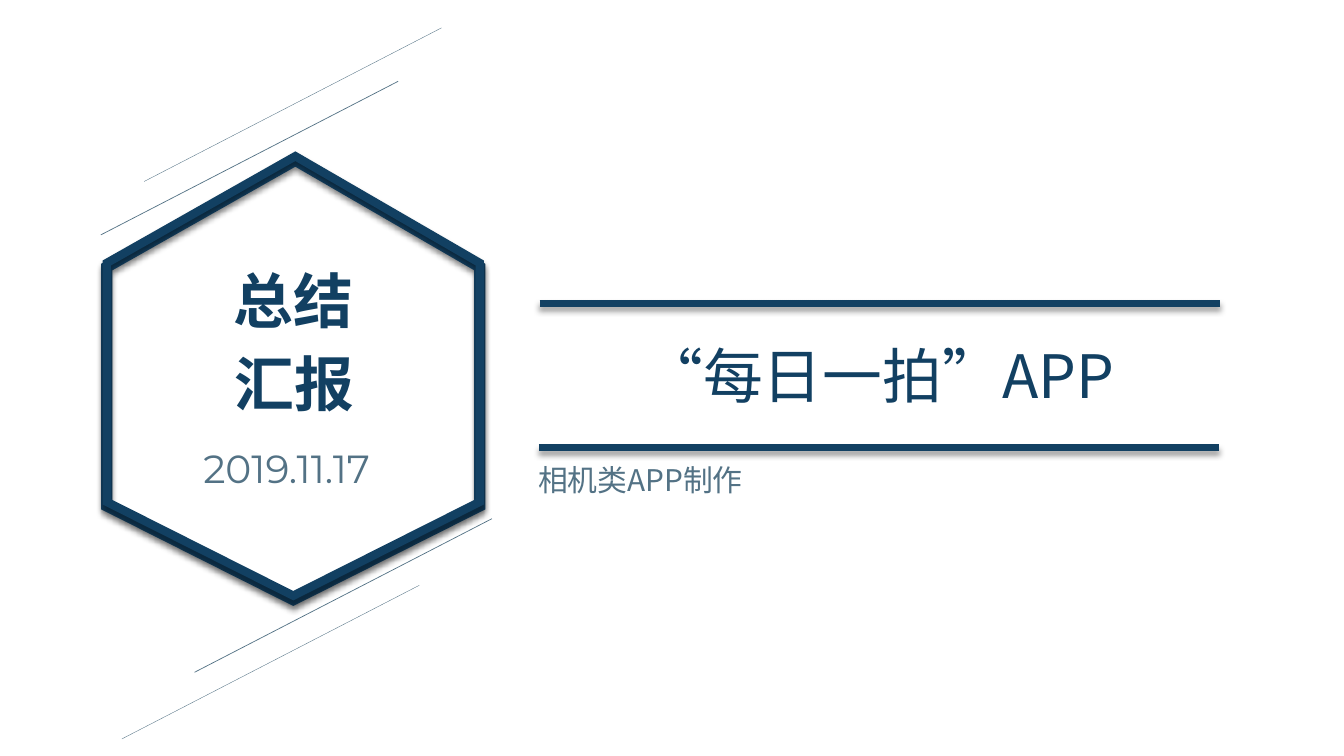
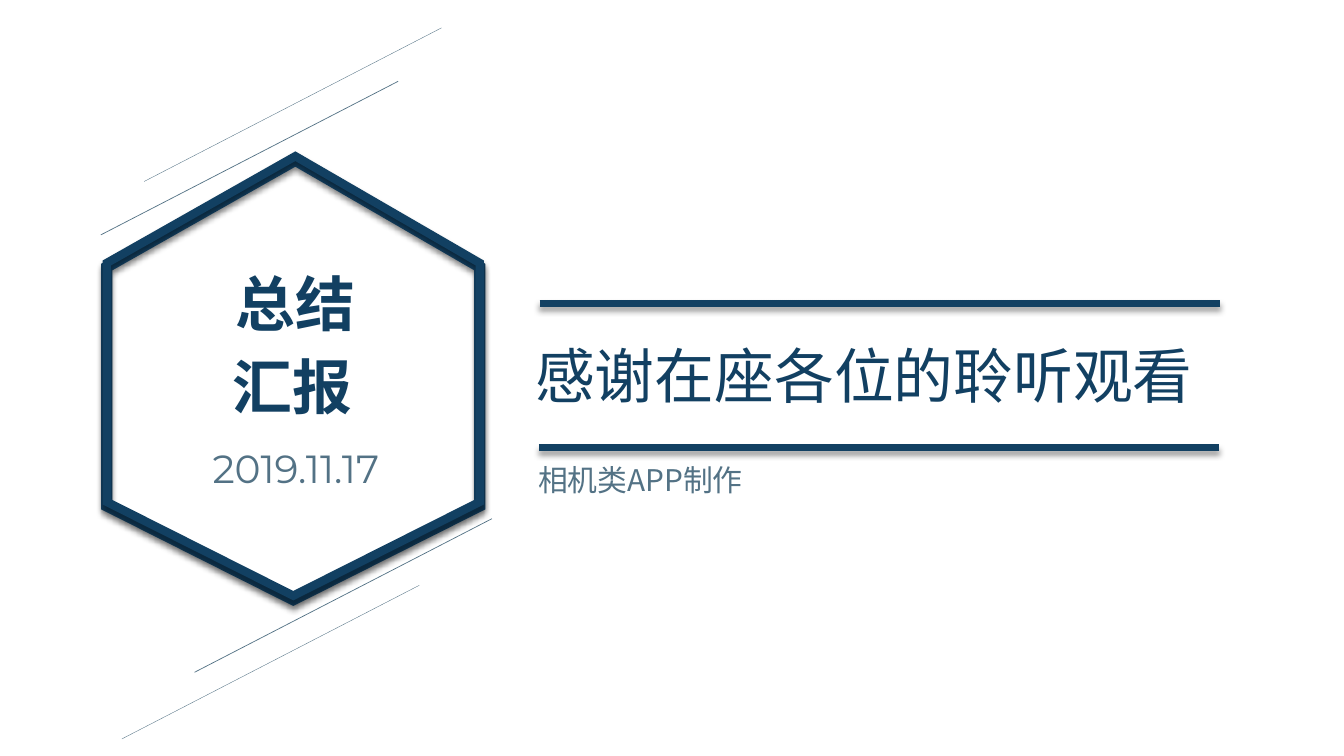
import pptx
import pptx.dml.color
import pptx.enum.lang
import pptx.enum.shapes
import pptx.enum.text
import pptx.oxml
import pptx.oxml.ns
import pptx.util

Pt = pptx.util.Pt
Align = pptx.enum.text.PP_ALIGN
hex_color = pptx.dml.color.RGBColor.from_string

NAVY = "124062"
SLATE = "537285"
CJK_FONT = "Noto Sans CJK SC"
NAMESPACE = pptx.oxml.ns.nsdecls("a")
SHADOW = (
    f'<a:outerShdw {NAMESPACE} blurRad="{Pt(4)}" dist="{Pt(3)}" dir="5400000" '
    'algn="t" rotWithShape="0"><a:srgbClr val="000000">'
    '<a:alpha val="40000"/></a:srgbClr></a:outerShdw>'
)

# Slanted lines: start point and weight; all share one run and rise
SLANTS = [(139, 480.2, 0.5), (87.1, 527.8, 0.25), (72, 167.8, 0.5), (103, 129.6, 0.25)]
SLANT_RUN, SLANT_RISE = 212.4, 109.7

# Hexagon corners, clockwise from the top
HEXAGON = [(211, 114.5), (342.7, 190.8), (342.7, 361.4),
           (209.5, 428.4), (76.3, 361.4), (76.3, 190.8)]

# What differs between the slides; each label is text, left, top, width, alignment
SLIDES = [
    {
        "title": "“每日一拍”APP", "align": Align.CENTER,
        "date": (113, 183.6, Align.CENTER),
        "labels": [("总结", 159.8, 185, Align.LEFT), ("汇报", 159.8, 244.1, Align.CENTER)],
    },
    {
        "title": "感谢在座各位的聆听观看", "align": Align.LEFT,
        "date": (144.7, 193.7, Align.LEFT),
        "labels": [("总结", 161.3, 187.2, Align.LEFT), ("汇报", 159.1, 246.2, Align.LEFT)],
    },
]


def style_line(shape, color, weight, shadow=False):
    """Set the outline and either a soft shadow or none."""
    shape.line.color.rgb = hex_color(color)
    shape.line.width = Pt(weight)
    properties = shape._element.spPr
    effects = pptx.oxml.parse_xml(f"<a:effectLst {NAMESPACE}/>")
    if shadow:
        effects.append(pptx.oxml.parse_xml(SHADOW))
    properties.append(effects)


def write(box, text, left, top, width, height, size=42.7, color=NAVY,
          font=CJK_FONT, bold=False, align=Align.LEFT, wrap=True):
    """Place a text box or placeholder and fill it with one formatted line."""
    box.left, box.top, box.width, box.height = Pt(left), Pt(top), Pt(width), Pt(height)
    frame = box.text_frame
    frame.word_wrap = wrap
    frame.auto_size = pptx.enum.text.MSO_AUTO_SIZE.SHAPE_TO_FIT_TEXT
    frame.vertical_anchor = pptx.enum.text.MSO_ANCHOR.TOP
    para = frame.paragraphs[0]
    para.alignment = align
    span = para.add_run()
    span.text = text
    span.font.size = Pt(size)
    span.font.bold = bold
    span.font.name = font
    span.font.color.rgb = hex_color(color)
    span.font.language_id = pptx.enum.lang.MSO_LANGUAGE_ID.SIMPLIFIED_CHINESE
    span._r.get_or_add_rPr().append(
        pptx.oxml.parse_xml(f'<a:ea {NAMESPACE} typeface="{CJK_FONT}"/>'))


deck = pptx.Presentation()
deck.slide_width, deck.slide_height = Pt(960), Pt(540)
title_only = deck.slide_layouts[5]

for content in SLIDES:
    page = deck.slides.add_slide(title_only)
    shapes = page.shapes

    # Double hexagon frame
    for offset, weight in [(0, 8), (-2.9, 6)]:
        corners = [(Pt(x), Pt(y + offset)) for x, y in HEXAGON]
        builder = shapes.build_freeform(*corners[0])
        builder.add_line_segments(corners[1:], close=True)
        hexagon = builder.convert_to_shape()
        hexagon.fill.background()
        style_line(hexagon, NAVY, weight, shadow=True)
        hexagon.line._get_or_add_ln().append(
            pptx.oxml.parse_xml(f'<a:miter {NAMESPACE} lim="800000"/>'))

    # Title rules and slanted lines
    rules = [(385.5, 216.7, 871.2, 216.7, NAVY, 4.5, True),
             (385, 319.7, 870.5, 319.7, NAVY, 4.5, True)]
    slants = [(x, y, x + SLANT_RUN, y - SLANT_RISE, SLATE, weight, False)
              for x, y, weight in SLANTS]
    for x1, y1, x2, y2, color, weight, shadow in rules + slants:
        line = shapes.add_connector(pptx.enum.shapes.MSO_CONNECTOR.STRAIGHT,
                                    Pt(x1), Pt(y1), Pt(x2), Pt(y2))
        style_line(line, color, weight, shadow)

    # Title and subtitle
    write(shapes.title, content["title"], 375.1, 238.3, 505.4, 59, align=content["align"])
    write(shapes.add_textbox(0, 0, 0, 0), "相机类APP制作", 377.3, 326.2, 260.6, 33.1,
          size=21.3, color=SLATE)

    # Date and label inside the hexagon
    left, width, align = content["date"]
    write(shapes.add_textbox(0, 0, 0, 0), "2019.11.17", left, 313.9, width, 41,
          size=28, color=SLATE, font="Montserrat", align=align, wrap=False)
    for text, left, top, align in content["labels"]:
        write(shapes.add_textbox(0, 0, 0, 0), text, left, top, 100.8, 59,
              font="Arial", bold=True, align=align, wrap=False)

deck.save("out.pptx")
